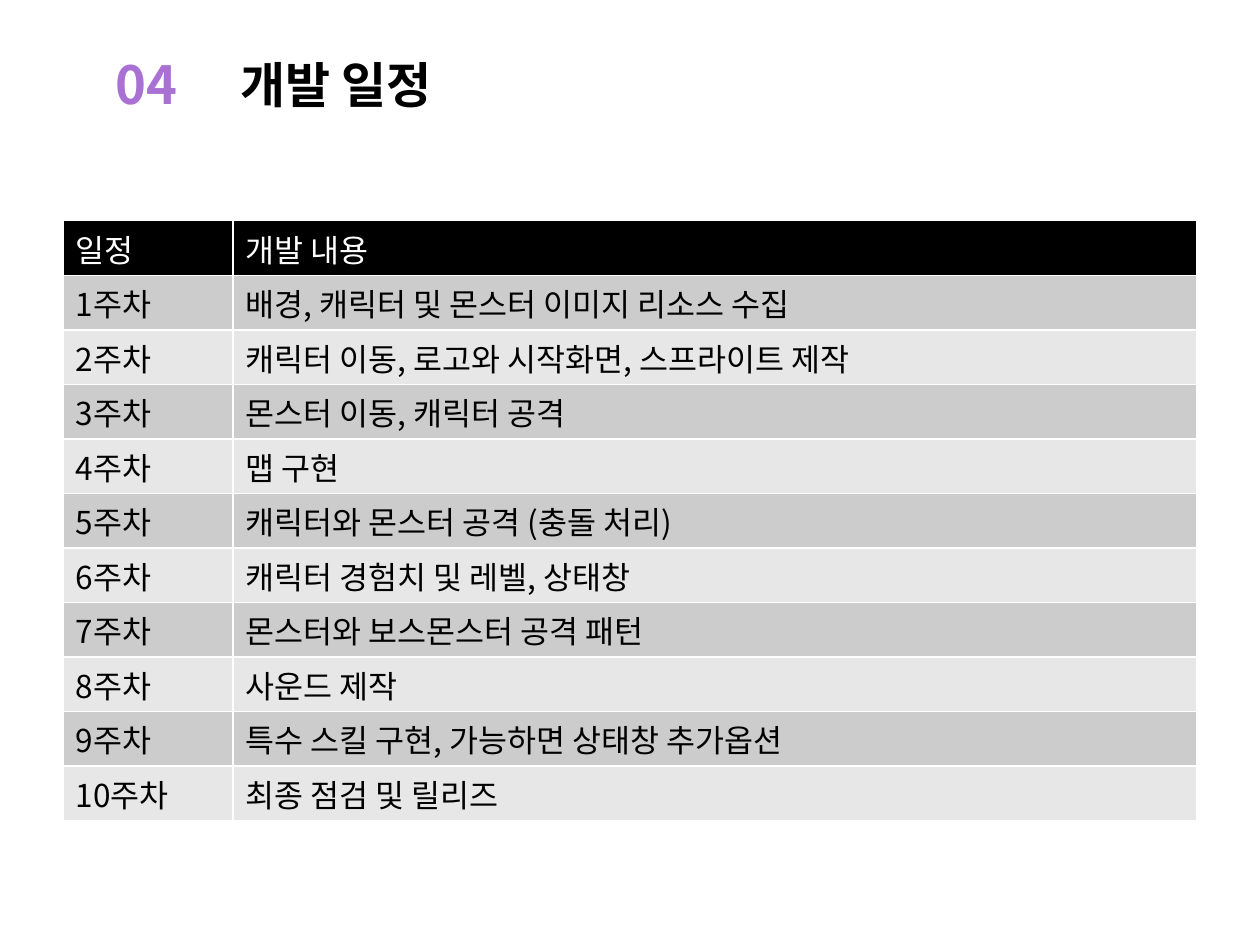
from lxml import etree
from pptx import Presentation
from pptx import util as u
from pptx.dml.color import RGBColor
from pptx.enum import text
from pptx.oxml import ns

FONT = "Noto Sans CJK KR"
COLORS = {
    "accent": "AA71D5",
    "ink": "000000",
    "paper": "FFFFFF",
    "odd_week": "CCCCCC",
    "even_week": "E7E7E7",
}
SCHEDULE = [
    "배경, 캐릭터 및 몬스터 이미지 리소스 수집",
    "캐릭터 이동, 로고와 시작화면, 스프라이트 제작",
    "몬스터 이동, 캐릭터 공격",
    "맵 구현",
    "캐릭터와 몬스터 공격 (충돌 처리)",
    "캐릭터 경험치 및 레벨, 상태창",
    "몬스터와 보스몬스터 공격 패턴",
    "사운드 제작",
    "특수 스킬 구현, 가능하면 상태창 추가옵션",
    "최종 점검 및 릴리즈",
]


def add_run(paragraph, wording, size, color, bold=False):
    run = paragraph.add_run()
    run.text = wording
    font = run.font
    font.name, font.size, font.bold = FONT, u.Pt(size), bold
    font.color.rgb = RGBColor.from_string(COLORS[color])
    # Hangul takes the East Asian typeface
    east_asian = etree.SubElement(run._r.get_or_add_rPr(), ns.qn("a:ea"))
    east_asian.set("typeface", FONT)


def fill_heading(shape, wording, size, color, align, bottom_inset):
    frame = shape.text_frame
    frame.word_wrap = True
    frame.auto_size = text.MSO_AUTO_SIZE.NONE
    frame.vertical_anchor = text.MSO_ANCHOR.MIDDLE
    frame.margin_top, frame.margin_bottom = 0, u.Cm(bottom_inset)
    frame.paragraphs[0].alignment = align
    add_run(frame.paragraphs[0], wording, size, color, bold=True)


def add_header(slide, left, top, width):
    # Section number
    number = slide.shapes.add_textbox(left, top, u.Cm(2.77), u.Cm(1.55))
    fill_heading(number, "04", 30, "accent", text.PP_ALIGN.CENTER, 0.15)

    # Section title
    title = slide.shapes.title
    indent = u.Cm(3.02)
    title.left, title.top = left + indent, top
    title.width, title.height = width - indent, u.Cm(1.45)
    fill_heading(title, "개발 일정", 28, "ink", text.PP_ALIGN.LEFT, 0.05)


def add_schedule(slide, left, top, width, height):
    rows = [("일정", "개발 내용")]
    rows += [(f"{week}주차", task) for week, task in enumerate(SCHEDULE, 1)]
    table = slide.shapes.add_table(len(rows), 2, left, top, width, height).table
    week_width = u.Cm(3.43)
    table.columns[0].width = week_width
    table.columns[1].width = width - week_width

    for index, row in enumerate(rows):
        if index == 0:
            fill, ink = "ink", "paper"
        else:
            fill, ink = ("odd_week" if index % 2 else "even_week"), "ink"
        for cell, wording in zip(table.rows[index].cells, row):
            cell.fill.solid()
            cell.fill.fore_color.rgb = RGBColor.from_string(COLORS[fill])
            cell.margin_top, cell.margin_bottom = u.Cm(0.1), u.Cm(0.05)
            add_run(cell.text_frame.paragraphs[0], wording, 18, ink)


def main():
    prs = Presentation()
    prs.slide_width, prs.slide_height = u.Cm(25.4), u.Cm(19.05)
    slide = prs.slides.add_slide(prs.slide_layouts[5])
    add_header(slide, u.Cm(1.57), u.Cm(0.99), u.Cm(20.09))
    add_schedule(slide, u.Cm(1.27), u.Cm(4.45), u.Cm(22.86), u.Cm(12.09))
    prs.save("out.pptx")


if __name__ == "__main__":
    main()
